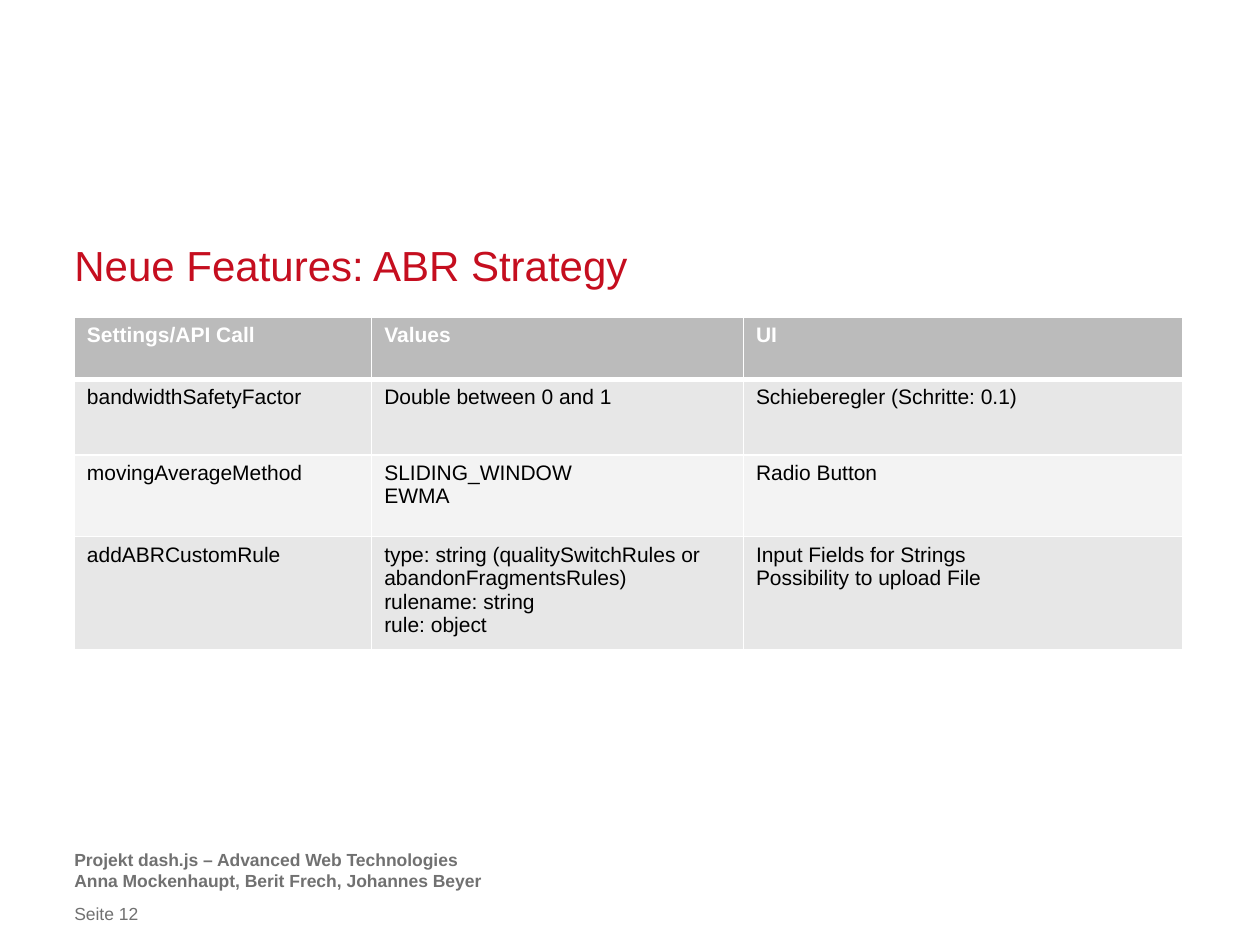
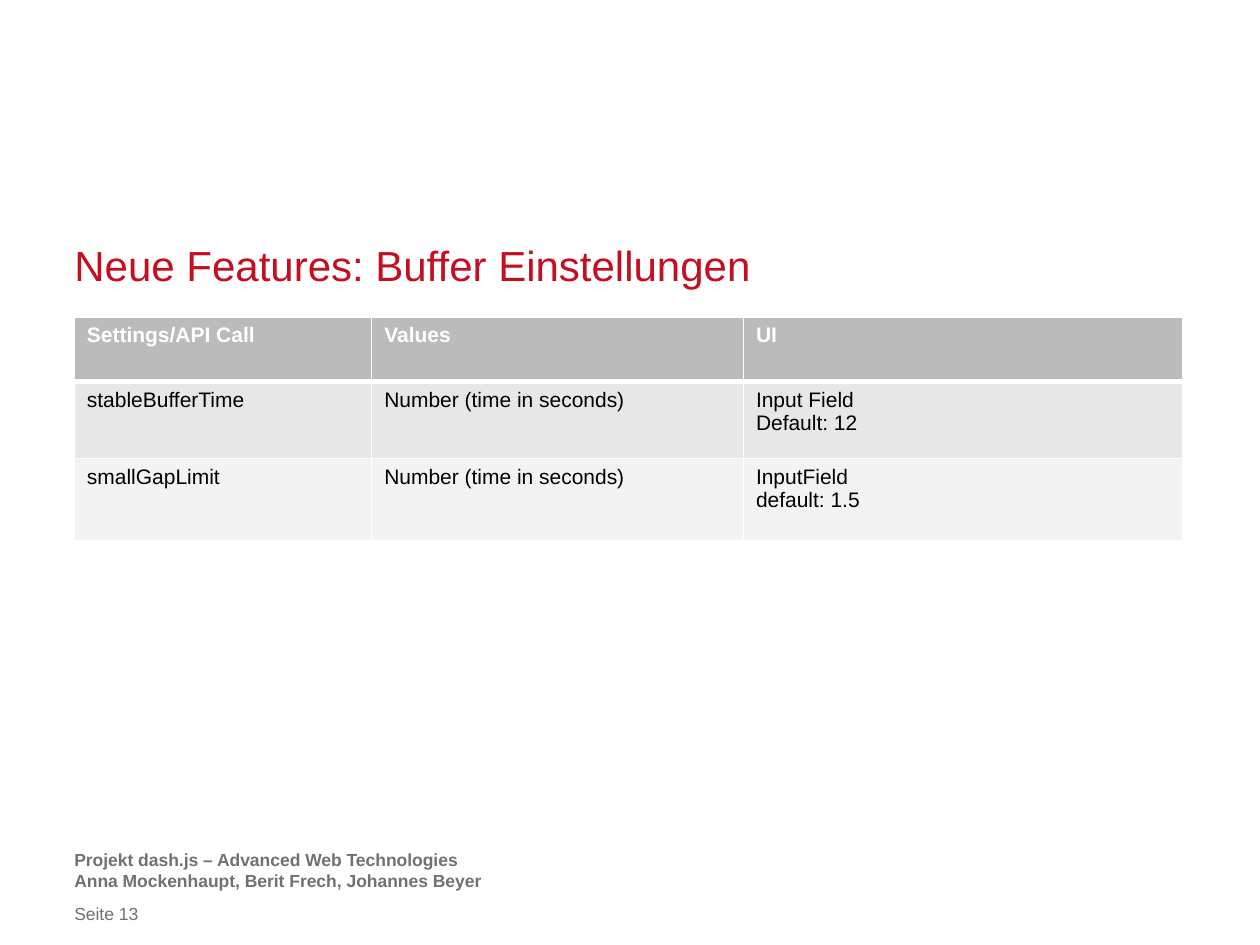
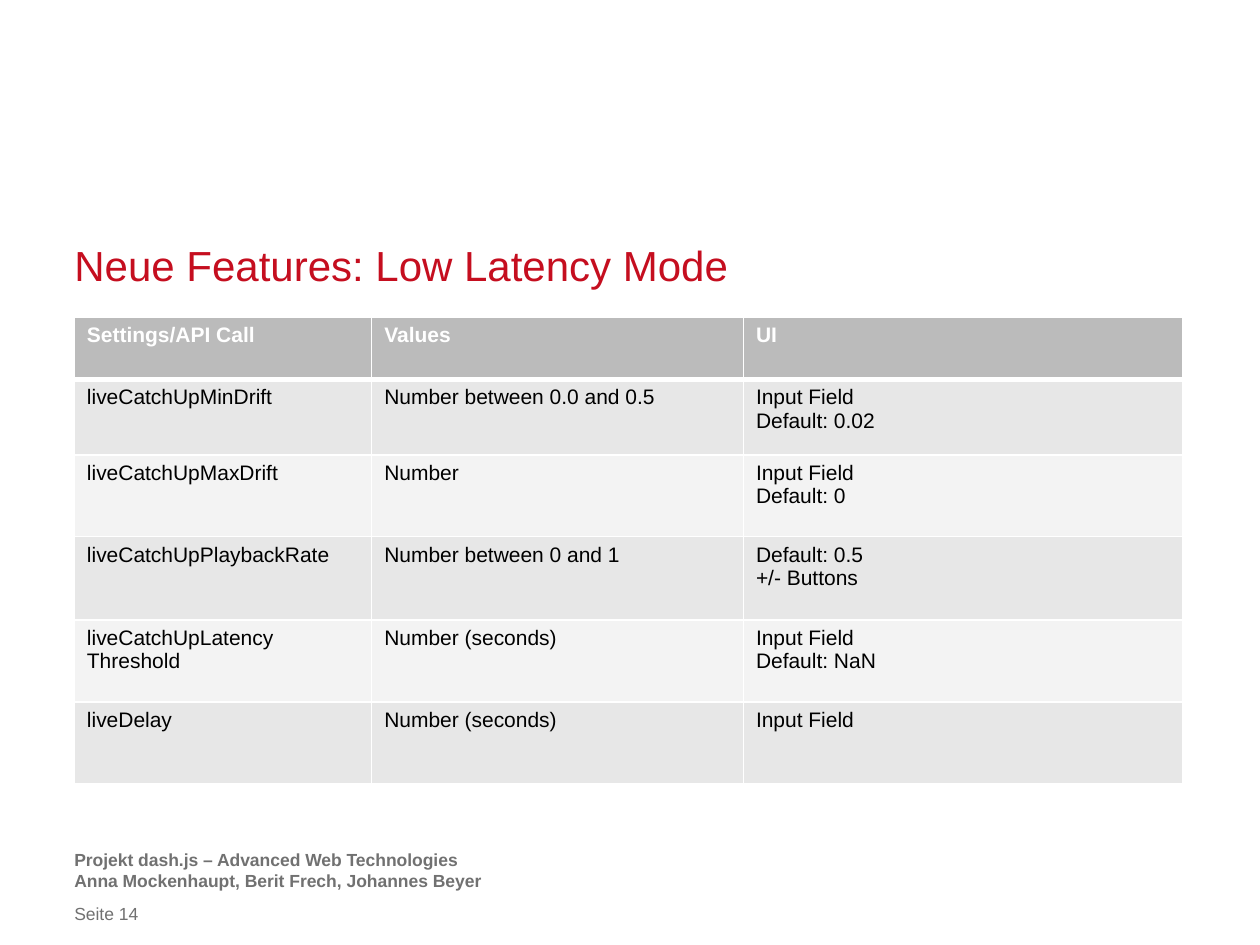
from typing import NamedTuple

from lxml import etree
from pptx import Presentation
from pptx.dml.color import RGBColor
from pptx.enum.text import MSO_ANCHOR, PP_ALIGN
from pptx.oxml.ns import qn
from pptx.util import Inches, Pt

TOP, BOTTOM = MSO_ANCHOR.TOP, MSO_ANCHOR.BOTTOM
LEFT = PP_ALIGN.LEFT

FONT = "Arial"
COLORS = {
    "title": "C50E1F",
    "footer": "717171",
    "header": "BBBBBB",
    "odd_row": "E7E7E7",
    "even_row": "F3F3F3",
    "text": "000000",
    "white": "FFFFFF",
}

MARGIN = 0.59
CONTENT_WIDTH = 8.82
FOOTER_WIDTH = 7.24
TABLE_TOP = 2.52
COLUMN_WIDTHS = (2.36, 2.95, 3.49)
THIN, THICK = 1, 3
FIRST_PAGE = 12

HEADINGS = ("Settings/API Call", "Values", "UI")
FOOTER = "Projekt dash.js – Advanced Web Technologies\nAnna Mockenhaupt, Berit Frech, Johannes Beyer"


class TextStyle(NamedTuple):
    size: float
    color: str
    bold: bool = False
    line_spacing: float | None = None


class Setting(NamedTuple):
    call: str
    values: str
    ui: str


class FeaturePage(NamedTuple):
    topic: str
    row_heights: tuple[float, ...]
    settings: tuple[Setting, ...]


TITLE_STYLE = TextStyle(24, "title", line_spacing=30)
PROJECT_STYLE = TextStyle(10, "footer", bold=True, line_spacing=12)
PAGE_STYLE = TextStyle(10, "footer")
HEADER_STYLE = TextStyle(12, "white", bold=True)
BODY_STYLE = TextStyle(12, "text")

PAGES = (
    FeaturePage("ABR Strategy", (0.49, 0.6, 0.65, 0.66), (
        Setting("bandwidthSafetyFactor", "Double between 0 and 1", "Schieberegler (Schritte: 0.1)"),
        Setting("movingAverageMethod", "SLIDING_WINDOW\nEWMA", "Radio Button"),
        Setting(
            "addABRCustomRule",
            "type: string (qualitySwitchRules or abandonFragmentsRules)\nrulename: string\nrule: object",
            "Input Fields for Strings\nPossibility to upload File",
        ),
    )),
    FeaturePage("Buffer Einstellungen", (0.51, 0.61, 0.65), (
        Setting("stableBufferTime", "Number (time in seconds)", "Input Field\nDefault: 12"),
        Setting("smallGapLimit", "Number (time in seconds)", "InputField\ndefault: 1.5"),
    )),
    FeaturePage("Low Latency Mode", (0.49, 0.6, 0.65, 0.66, 0.65, 0.65), (
        Setting("liveCatchUpMinDrift", "Number between 0.0 and 0.5", "Input Field\nDefault: 0.02"),
        Setting("liveCatchUpMaxDrift", "Number", "Input Field\nDefault: 0"),
        Setting("liveCatchUpPlaybackRate", "Number between 0 and 1", "Default: 0.5\n+/- Buttons"),
        Setting("liveCatchUpLatency\nThreshold", "Number (seconds)", "Input Field\nDefault: NaN"),
        Setting("liveDelay", "Number (seconds)", "Input Field"),
    )),
)


def write(frame, text: str, style: TextStyle) -> None:
    """Fill a text frame, one paragraph per line of text."""
    frame.text = text
    for para in frame.paragraphs:
        para.alignment = LEFT
        if style.line_spacing:
            para.line_spacing = Pt(style.line_spacing)
        para.font.name = FONT
        para.font.size = Pt(style.size)
        para.font.bold = style.bold
        para.font.color.rgb = RGBColor.from_string(COLORS[style.color])


def add_text(slide, text: str, top: float, width: float, height: float,
             style: TextStyle, anchor=TOP) -> None:
    box = slide.shapes.add_textbox(Inches(MARGIN), Inches(top), Inches(width), Inches(height))
    frame = box.text_frame
    frame.word_wrap = True
    frame.vertical_anchor = anchor
    frame.margin_left = frame.margin_right = frame.margin_top = frame.margin_bottom = 0
    write(frame, text, style)


def set_borders(cell, top: float, bottom: float) -> None:
    """Draw white cell borders; the sides are always thin."""
    properties = cell._tc.get_or_add_tcPr()
    widths = {"a:lnL": THIN, "a:lnR": THIN, "a:lnT": top, "a:lnB": bottom}
    for position, (tag, width) in enumerate(widths.items()):
        line = etree.Element(qn(tag), w=str(Pt(width)))
        fill = etree.SubElement(line, qn("a:solidFill"))
        etree.SubElement(fill, qn("a:srgbClr"), val=COLORS["white"])
        properties.insert(position, line)


def add_settings_table(slide, feature: FeaturePage) -> None:
    rows = (HEADINGS, *feature.settings)
    table = slide.shapes.add_table(
        len(rows), len(HEADINGS), Inches(MARGIN), Inches(TABLE_TOP),
        Inches(CONTENT_WIDTH), Inches(sum(feature.row_heights)),
    ).table
    table.horz_banding = False
    for column, width in zip(table.columns, COLUMN_WIDTHS):
        column.width = Inches(width)
    for index, (texts, height) in enumerate(zip(rows, feature.row_heights)):
        table.rows[index].height = Inches(height)
        is_header = index == 0
        fill = "header" if is_header else "odd_row" if index % 2 else "even_row"
        for cell, text in zip(table.rows[index].cells, texts):
            write(cell.text_frame, text, HEADER_STYLE if is_header else BODY_STYLE)
            cell.fill.solid()
            cell.fill.fore_color.rgb = RGBColor.from_string(COLORS[fill])
            set_borders(cell, top=THICK if index == 1 else THIN,
                        bottom=THICK if is_header else THIN)


def add_feature_page(deck, feature: FeaturePage, number: int) -> None:
    slide = deck.slides.add_slide(deck.slide_layouts[6])
    add_text(slide, FOOTER, 6.74, FOOTER_WIDTH, 0.39, PROJECT_STYLE)
    add_text(slide, f"Seite {number}", 7.17, FOOTER_WIDTH, 0.17, PAGE_STYLE)
    add_text(slide, f"Neue Features: {feature.topic}", 1.88, CONTENT_WIDTH, 0.42, TITLE_STYLE, BOTTOM)
    add_settings_table(slide, feature)


def main() -> None:
    deck = Presentation()
    deck.slide_width, deck.slide_height = Inches(10), Inches(7.5)
    for number, feature in enumerate(PAGES, start=FIRST_PAGE):
        add_feature_page(deck, feature, number)
    deck.save("out.pptx")


if __name__ == "__main__":
    main()
